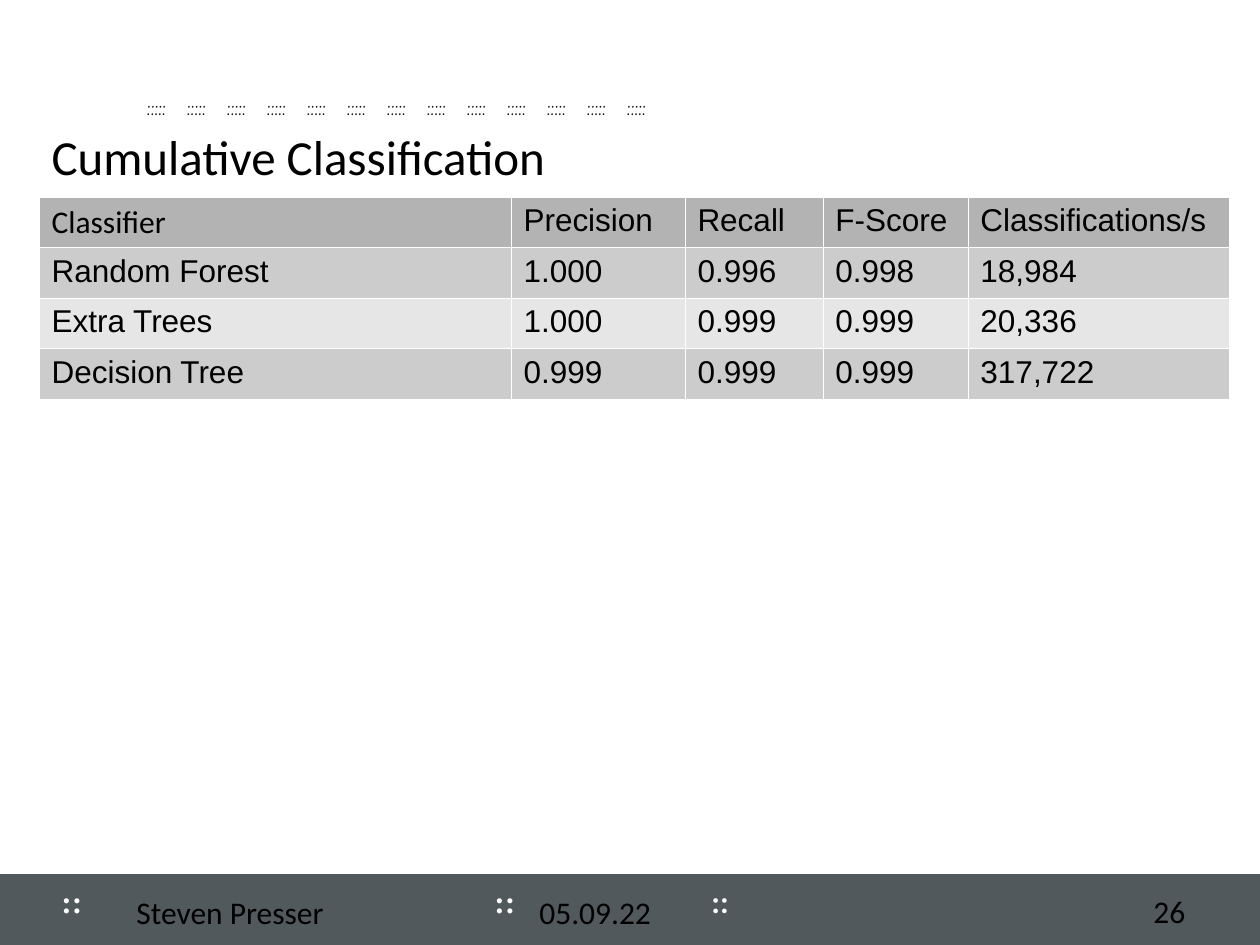
from dataclasses import dataclass

from lxml.etree import SubElement
from pptx import Presentation
from pptx.dml.color import RGBColor
from pptx.enum.shapes import MSO_SHAPE
from pptx.enum.text import MSO_ANCHOR, PP_ALIGN
from pptx.oxml.ns import qn
from pptx.util import Emu, Pt

EMU_PER_PX = 914400 / 126


@dataclass(frozen=True)
class Theme:
    text: str = "000000"
    light: str = "FFFFFF"
    bar: str = "51595D"
    header: str = "B3B3B3"
    bands: tuple = ("CCCCCC", "E6E6E6")
    heading_font: str = "Calibri"
    table_font: str = "Arial"
    mark_font: str = "Times New Roman"
    dots_font: str = "Comic Neue"
    title_size: int = 28
    body_size: int = 18
    dots_size: int = 12


THEME = Theme()

ROWS = (
    ("Classifier", "Precision", "Recall", "F-Score", "Classifications/s"),
    ("Random Forest", "1.000", "0.996", "0.998", "18,984"),
    ("Extra Trees", "1.000", "0.999", "0.999", "20,336"),
    ("Decision Tree", "0.999", "0.999", "0.999", "317,722"),
)
COLUMN_WIDTHS = (472, 174, 138, 145, 261)


def px(length):
    return Emu(round(length * EMU_PER_PX))


def write(frame, text, font=THEME.heading_font, size=THEME.body_size,
          color=THEME.text, bold=False):
    """Fill a text frame with one left-aligned paragraph."""
    paragraph = frame.paragraphs[0]
    paragraph.alignment = PP_ALIGN.LEFT
    run = paragraph.add_run()
    run.text = text
    for name, value in {"name": font, "size": Pt(size), "bold": bold}.items():
        setattr(run.font, name, value)
    run.font.color.rgb = RGBColor.from_string(color)


def fill_frame(shape, text, anchor=MSO_ANCHOR.TOP, **style):
    frame = shape.text_frame
    frame.word_wrap = True
    frame.vertical_anchor = anchor
    write(frame, text, **style)
    return frame


def add_text(slide, box, text, **style):
    return fill_frame(slide.shapes.add_textbox(*map(px, box)), text, **style)


def add_ornament(slide, box, text, **style):
    """Add an unfilled outline that carries decorative dots."""
    left, top, width, height = map(px, box)
    right, bottom = left + width, top + height
    builder = slide.shapes.build_freeform(left, top)
    builder.add_line_segments([(right, top), (right, bottom), (left, bottom)])
    shape = builder.convert_to_shape()
    shape.shadow.inherit = False
    shape.fill.background()
    shape.line.fill.background()
    return fill_frame(shape, text, **style)


def add_footer(slide, box):
    left, top, width, height = box
    # Dark bar
    bar = slide.shapes.add_shape(MSO_SHAPE.RECTANGLE, *map(px, box))
    bar.shadow.inherit = False
    bar.fill.solid()
    bar.fill.fore_color.rgb = RGBColor.from_string(THEME.bar)
    bar.line.color.rgb = RGBColor.from_string(THEME.bar)
    bar.line.width = Pt(2)
    # Dotted separators
    for offset, mark_width, font in ((49, 74, THEME.mark_font),
                                     (482, 63, THEME.mark_font),
                                     (699, 71, THEME.heading_font)):
        add_ornament(slide, (left + offset, top, mark_width, 50), "::",
                     font=font, color=THEME.light, bold=True)
    # Author, date and page number
    add_text(slide, (left + 124, top + 11, 348, 63), "Steven Presser")
    add_text(slide, (left + 527, top + 11, 171, 63), "05.09.22")
    add_text(slide, (left + 1141, top - 2, 100, 74), "26",
             anchor=MSO_ANCHOR.MIDDLE)


def add_dot_row(slide, box, count=13, first=118, pitch=40):
    """Spread groups of dots evenly with tab stops."""
    frame = add_ornament(slide, box, "\t".join([":::::"] * count),
                         font=THEME.dots_font, size=THEME.dots_size)
    frame.margin_left = px(first)
    properties = frame.paragraphs[0]._p.get_or_add_pPr()
    tabs = SubElement(properties, qn("a:tabLst"))
    for index in range(1, count):
        SubElement(tabs, qn("a:tab"), pos=str(px(index * pitch)), algn="l")


def add_title(slide, box, text):
    title = slide.shapes.title
    for name, value in zip(("left", "top", "width", "height"), box):
        setattr(title, name, px(value))
    fill_frame(title, text, anchor=MSO_ANCHOR.MIDDLE, size=THEME.title_size)


def set_borders(cell):
    properties = cell._tc.get_or_add_tcPr()
    for position, side in enumerate(("lnL", "lnR", "lnT", "lnB")):
        line = properties.makeelement(qn(f"a:{side}"), {"w": "720"})
        fill = SubElement(line, qn("a:solidFill"))
        SubElement(fill, qn("a:srgbClr"), val=THEME.light)
        properties.insert(position, line)


def add_score_table(slide, box):
    table = slide.shapes.add_table(len(ROWS), len(COLUMN_WIDTHS),
                                   *map(px, box)).table
    table.first_row = table.horz_banding = False
    for column, width in zip(table.columns, COLUMN_WIDTHS):
        column.width = px(width)
    for row_index, values in enumerate(ROWS):
        fill = THEME.bands[(row_index - 1) % 2] if row_index else THEME.header
        for column_index, value in enumerate(values):
            cell = table.cell(row_index, column_index)
            cell.fill.solid()
            cell.fill.fore_color.rgb = RGBColor.from_string(fill)
            set_borders(cell)
            is_corner = row_index == column_index == 0
            write(cell.text_frame, value,
                  font=THEME.heading_font if is_corner else THEME.table_font)


def main():
    presentation = Presentation()
    presentation.slide_width, presentation.slide_height = px(1260), px(945)
    slide = presentation.slides.add_slide(presentation.slide_layouts[5])
    add_footer(slide, (0, 876, 1260, 69))
    add_dot_row(slide, (29, 88, 1131, 38))
    add_title(slide, (39, 90, 1189, 131), "Cumulative Classification")
    add_score_table(slide, (39, 197, 1190, 202))
    presentation.save("out.pptx")


if __name__ == "__main__":
    main()
